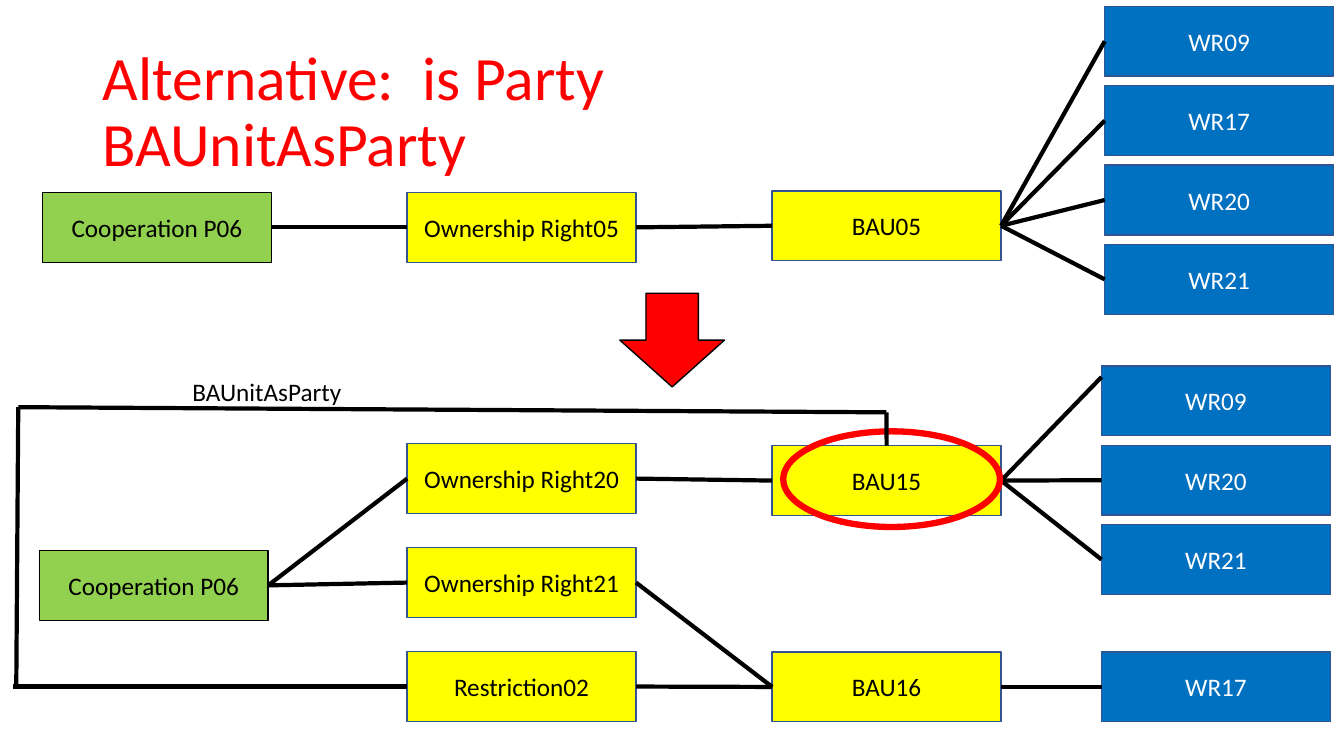
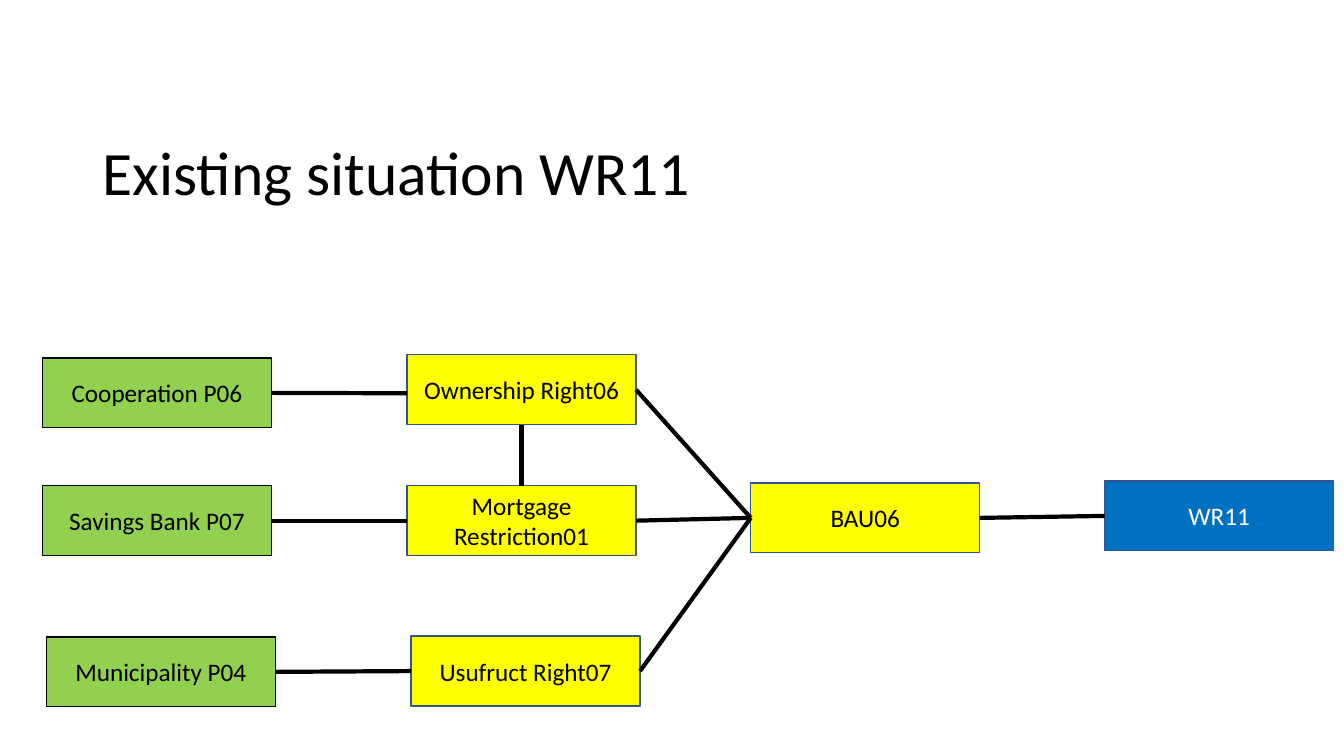
from dataclasses import dataclass

from pptx import Presentation
from pptx.dml.color import RGBColor
from pptx.enum.shapes import MSO_CONNECTOR, MSO_SHAPE
from pptx.enum.text import MSO_ANCHOR, PP_ALIGN
from pptx.oxml import parse_xml
from pptx.util import Cm, Pt


@dataclass(frozen=True)
class Theme:
    font: str = "Calibri"
    black: str = "000000"
    white: str = "FFFFFF"
    red: str = "FF0000"
    green: str = "92D050"
    yellow: str = "FFFF00"
    blue: str = "0070C0"
    navy: str = "325491"
    title: float = 44
    body: float = 18
    edge: float = 1
    link: float = 3
    ring: float = 4.5


T = Theme()
TOP, LEFT, BASE, RIGHT = range(4)

# Shared grid, in centimetres
WIDE, HIGH = 5.77, 1.76
PARTY_X, CLAIM_X, UNIT_X, PLOT_X = 1.07, 10.26, 19.46, 27.84
PLOT_STEP, CLAIM_STEP = 2.0, 2.62
EFFECTS = ('<a:effectLst xmlns:a='
           '"http://schemas.openxmlformats.org/drawingml/2006/main"/>')


def write(shape, text, size=T.body, color=T.black, align=PP_ALIGN.LEFT,
          anchor=MSO_ANCHOR.TOP, spacing=None, wrap=True):
    frame = shape.text_frame
    frame.word_wrap = wrap
    frame.vertical_anchor = anchor
    para = frame.paragraphs[0]
    para.text = text
    para.alignment = align
    para.line_spacing = spacing
    for run in para.runs:
        run.font.name = T.font
        run.font.size = Pt(size)
        run.font.color.rgb = RGBColor.from_string(color)


def draw(slide, kind, area, fill=None, line=T.black, width=T.edge):
    shape = slide.shapes.add_shape(kind, *map(Cm, area))
    shape.shadow.inherit = False
    if fill:
        shape.fill.solid()
        shape.fill.fore_color.rgb = RGBColor.from_string(fill)
    else:
        shape.fill.background()
    shape.line.color.rgb = RGBColor.from_string(line)
    shape.line.width = Pt(width)
    return shape


def box(slide, text, x, y, fill, line=T.navy, color=T.black):
    shape = draw(slide, MSO_SHAPE.RECTANGLE, (x, y, WIDE, HIGH), fill, line)
    write(shape, text, color=color, align=PP_ALIGN.CENTER,
          anchor=MSO_ANCHOR.MIDDLE)
    return shape


def party(slide, text, x, y):
    return box(slide, text, x, y, T.green, line=T.black)


def claim(slide, text, x, y):
    return box(slide, text, x, y, T.yellow)


def plot(slide, text, x, y):
    return box(slide, text, x, y, T.blue, color=T.white)


def stack(slide, make, names, x, y, step):
    return [make(slide, name, x, y + i * step) for i, name in enumerate(names)]


def link(slide, start, end):
    """Each end is a (shape, side) pair or an (x, y) point in centimetres."""
    line = slide.shapes.add_connector(MSO_CONNECTOR.STRAIGHT, 0, 0, 0, 0)
    (ax, ay), (bx, by) = start, end
    if isinstance(ax, (int, float)):
        line.begin_x, line.begin_y = Cm(ax), Cm(ay)
    else:
        line.begin_connect(ax, ay)
    if isinstance(bx, (int, float)):
        line.end_x, line.end_y = Cm(bx), Cm(by)
    else:
        line.end_connect(bx, by)
    line.line.color.rgb = RGBColor.from_string(T.black)
    line.line.width = Pt(T.link)
    line._element.spPr.append(parse_xml(EFFECTS))


def join(slide, *pairs):
    for a, b in pairs:
        link(slide, (a, RIGHT), (b, LEFT))


def title(slide, text, y, **style):
    head = slide.shapes.add_textbox(Cm(2.34), Cm(y), Cm(29.21), Cm(3.68))
    write(head, text, size=T.title, spacing=0.9, **style)


def change(slide):
    title(slide, "Alternative:  is Party\vBAUnitAsParty", 1.02, color=T.red,
          anchor=MSO_ANCHOR.MIDDLE)

    # Upper chain
    coop = party(slide, "Cooperation P06", PARTY_X, 4.85)
    owner = claim(slide, "Ownership Right05", CLAIM_X, 4.85)
    unit = claim(slide, "BAU05", UNIT_X, 4.81)
    plots = stack(slide, plot, ("WR09", "WR17", "WR20", "WR21"),
                  PLOT_X, 0.16, PLOT_STEP)
    join(slide, (coop, owner), (owner, unit), *((unit, p) for p in plots))

    draw(slide, MSO_SHAPE.DOWN_ARROW, (15.62, 7.39, 2.64, 2.36), T.red)

    # Lower chain
    coop = party(slide, "Cooperation P06", 0.99, 13.87)
    owner, second, limit = stack(
        slide, claim, ("Ownership Right20", "Ownership Right21",
                       "Restriction02"), CLAIM_X, 11.18, CLAIM_STEP)
    unit = claim(slide, "BAU15", UNIT_X, 11.23)
    rest = claim(slide, "BAU16", UNIT_X, 16.43)
    low_x = 27.76
    plots = stack(slide, plot, ("WR09", "WR20", "WR21"),
                  low_x, 9.22, PLOT_STEP)
    last = plot(slide, "WR17", low_x, 16.43)
    join(slide, (coop, owner), (coop, second), (owner, unit), (second, rest),
         (limit, rest), (rest, last), *((unit, p) for p in plots[1:]))
    link(slide, (unit, RIGHT), (low_x, 9.5))

    # Loop from the unit back to the restriction
    draw(slide, MSO_SHAPE.OVAL, (19.74, 10.87, 5.46, 2.41), line=T.red,
         width=T.ring)
    link(slide, (0.33, 17.3), (limit, LEFT))
    link(slide, (0.41, 17.3), (0.46, 10.26))
    link(slide, (0.46, 10.26), (22.34, 10.39))
    link(slide, (22.34, 10.39), (unit, TOP))
    label = slide.shapes.add_textbox(Cm(4.6), Cm(9.37), Cm(4.29), Cm(1.02))
    write(label, "BAUnitAsParty", wrap=False)


def present(slide):
    title(slide, "Existing situation WR11", 3.45)

    # Parties, rights, unit and plot
    shift = 0.1
    coop = party(slide, "Cooperation P06", PARTY_X, 9.02)
    bank = party(slide, "Savings Bank P07", PARTY_X, 12.24)
    town = party(slide, "Municipality P04", PARTY_X + shift, 16.05)
    owner = claim(slide, "Ownership Right06", CLAIM_X, 8.94)
    loan = claim(slide, "Mortgage Restriction01", CLAIM_X, 12.24)
    use = claim(slide, "Usufruct Right07", CLAIM_X + shift, 16.03)
    unit = claim(slide, "BAU06", 18.92, 12.17)
    land = plot(slide, "WR11", PLOT_X, 12.12)

    # Links
    join(slide, (bank, loan), (town, use), (owner, unit), (loan, unit),
         (use, unit), (unit, land))
    link(slide, (coop, RIGHT), (CLAIM_X, 9.91))
    link(slide, (loan, TOP), (owner, BASE))


def main():
    deck = Presentation()
    deck.slide_width, deck.slide_height = Cm(33.87), Cm(19.05)
    for build in (change, present):
        build(deck.slides.add_slide(deck.slide_layouts[6]))
    deck.save("out.pptx")


if __name__ == "__main__":
    main()
